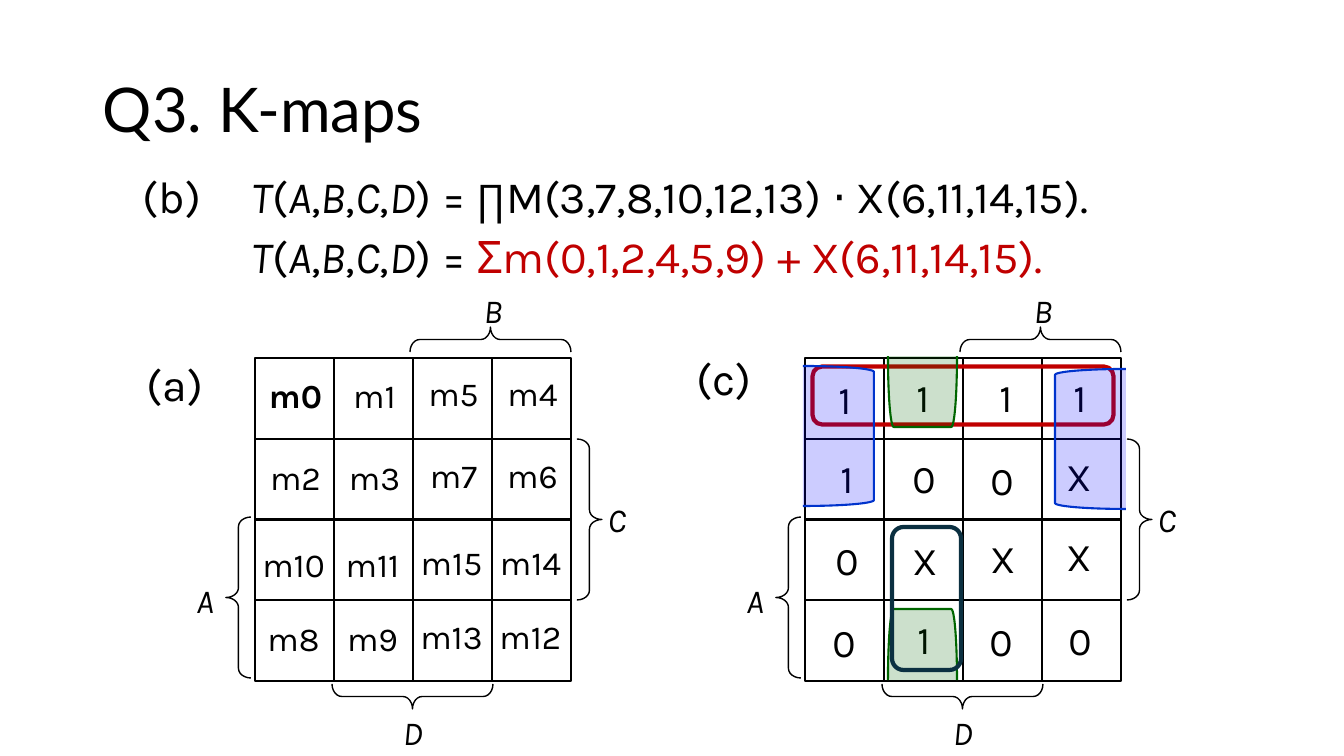
import itertools

import pptx
import pptx.dml.color
import pptx.enum.shapes
import pptx.enum.text
import pptx.oxml.ns
import pptx.util
from lxml import etree

SHAPES = pptx.enum.shapes.MSO_SHAPE
ANCHORS = pptx.enum.text.MSO_ANCHOR
ALIGNMENTS = pptx.enum.text.PP_ALIGN

COLORS = {"black": "000000", "red": "C00000", "blue": "0000FF",
          "blue_line": "0033CC", "green": "006600", "navy": "0B3041"}

# Lengths are px
PX = 914400 / 100.8
SLIDE_SIZE = (1344, 756)
TITLE = "Q3. K-maps"
TITLE_BOX = (93, 40, 1159, 146)

FUNCTION = "T(A,B,C,D) = "
EQUATIONS = [
    ((242, 230, 864, 73), "Σm(0,1,2,4,5,9) + X(6,11,14,15).", "red"),
    ((242, 170, 929, 73), "∏M(3,7,8,10,12,13) ⋅ X(6,11,14,15).", "black"),
]
PART_LABELS = [("(b)", 133, 170), ("(a)", 137, 358), ("(c)", 687, 352)]

MAP_LEFTS = {"minterms": 255, "values": 805}
MAP_TOP = 358
COLUMNS = ROWS = 4
CELL_WIDTH, CELL_HEIGHT = 79, 323 / ROWS

# Offsets from the top left corner of a map: label, its place, brace place, rotation, flip
VARIABLES = [
    ("A", (-76, 217), (-29, 159), 0, "flipH"),
    ("B", (212, -73), (223, -99), 270, None),
    ("C", (336, 136), (322, 81), 0, None),
    ("D", (132, 349), (145, 258), 90, "flipV"),
]
BRACE_SIZE = (25, 161)
BRACE_CURVE = 0.389

# Offset of the first label in each row, then the row of labels
MINTERMS = [
    ((-11, 12), ["m0", "m1", "m5", "m4"]),
    ((-11, 94), ["m2", "m3", "m7", "m6"]),
    ((-13, 181), ["m10", "m11", "m15", "m14"]),
    ((-13, 255), ["m8", "m9", "m13", "m12"]),
]
RIGHT_HALF_RAISE = 2

# Hand-placed entries: text, left, top
VALUES = [
    ("1", 805, 370), ("1", 883, 368), ("1", 966, 368), ("1", 1040, 368),
    ("1", 807, 449), ("0", 884, 449), ("0", 962, 451), ("X", 1039, 447),
    ("0", 807, 531), ("X", 885, 531), ("X", 963, 529), ("X", 1039, 527),
    ("0", 804, 613), ("1", 884, 610), ("0", 961, 612), ("0", 1040, 611),
]

RED_LOOP = {"line": "red", "width": 3}
NAVY_LOOP = {"line": "navy", "width": 3}
BLUE_LOOP = {"line": "blue_line", "width": 1.5, "fill": "blue"}
GREEN_LOOP = {"line": "green", "width": 1.5, "fill": "green"}
LOOPS = [
    (SHAPES.ROUNDED_RECTANGLE, (934, 245, 58, 301), 270, None, RED_LOOP),
    (SHAPES.LEFT_BRACKET, (1055, 369, 71, 140), 0, None, BLUE_LOOP),
    (SHAPES.LEFT_BRACKET, (803, 366, 71, 140), 0, "flipH", BLUE_LOOP),
    (SHAPES.LEFT_BRACKET, (887, 357, 71, 69), 270, None, GREEN_LOOP),
    (SHAPES.LEFT_BRACKET, (887, 610, 71, 69), 90, "flipV", GREEN_LOOP),
    (SHAPES.ROUNDED_RECTANGLE, (855, 564, 143, 69), 270, "flipV", NAVY_LOOP),
]
FILL_OPACITY = 20

EQUATION_FORMAT = {"name": "Karla", "size": pptx.util.Pt(32)}
LABEL_FORMAT = {"name": "Karla", "size": pptx.util.Pt(24)}
VALUE_FORMAT = {"name": "Karla", "size": pptx.util.Pt(28)}
TITLE_FORMAT = {"name": "Lato", "size": pptx.util.Pt(44)}
CENTERED = {"alignment": ALIGNMENTS.CENTER}
TIGHT = {"line_spacing": 0.9}


def emu(lengths):
    return [pptx.util.Emu(round(length * PX)) for length in lengths]


def color(name):
    return pptx.dml.color.RGBColor.from_string(COLORS[name])


def set_attributes(target, values):
    for name, value in values.items():
        setattr(target, name, value)


def add_text(slide, box, runs, font_format, paragraph_format, anchor=ANCHORS.TOP):
    """Add one line of text; each run is (text, color name, extra font values)."""
    frame = slide.shapes.add_textbox(*emu(box)).text_frame
    set_attributes(frame, {"word_wrap": True, "vertical_anchor": anchor})
    paragraph = frame.paragraphs[0]
    set_attributes(paragraph, paragraph_format)
    for text, color_name, extra in runs:
        run = paragraph.add_run()
        run.text = text
        set_attributes(run.font, {**font_format, **extra})
        run.font.color.rgb = color(color_name)


def add_outline(slide, kind, box, rotation=0, flip=None, line="black", width=1.5, fill=None):
    shape = slide.shapes.add_shape(kind, *emu(box))
    shape.shadow.inherit = False
    shape.rotation = rotation
    if flip:
        shape._element.spPr.xfrm.set(flip, "1")
    shape.line.color.rgb = color(line)
    shape.line.width = pptx.util.Pt(width)
    if fill:
        shape.fill.solid()
        shape.fill.fore_color.rgb = color(fill)
        tone = shape._element.spPr.find(".//" + pptx.oxml.ns.qn("a:srgbClr"))
        alpha = etree.SubElement(tone, pptx.oxml.ns.qn("a:alpha"))
        alpha.set("val", str(FILL_OPACITY * 1000))
    else:
        shape.fill.background()
    return shape


def add_map_frame(slide, left):
    """Draw the cells, braces and variable names of one K-map."""
    for row, column in itertools.product(range(ROWS), range(COLUMNS)):
        add_outline(slide, SHAPES.RECTANGLE,
                    (left + column * CELL_WIDTH, MAP_TOP + row * CELL_HEIGHT,
                     CELL_WIDTH, CELL_HEIGHT))
    for name, (label_x, label_y), (brace_x, brace_y), rotation, flip in VARIABLES:
        add_text(slide, (left + label_x, MAP_TOP + label_y, 52, 50),
                 [(name, "black", {"italic": True})], LABEL_FORMAT, CENTERED)
        brace = add_outline(slide, SHAPES.RIGHT_BRACE,
                            (left + brace_x, MAP_TOP + brace_y, *BRACE_SIZE),
                            rotation, flip, width=1)
        brace.adjustments[0] = BRACE_CURVE


def main():
    presentation = pptx.Presentation()
    presentation.slide_width, presentation.slide_height = emu(SLIDE_SIZE)
    slide = presentation.slides.add_slide(presentation.slide_layouts[6])

    add_text(slide, TITLE_BOX, [(TITLE, "black", {})], TITLE_FORMAT, TIGHT, ANCHORS.MIDDLE)
    function_runs = [("".join(letters), "black", {"italic": is_name})
                     for is_name, letters in itertools.groupby(FUNCTION, str.isalpha)]
    for box, terms, color_name in EQUATIONS:
        add_text(slide, box, function_runs + [(terms, color_name, {})], EQUATION_FORMAT, TIGHT)
    for label, left, top in PART_LABELS:
        add_text(slide, (left, top, 87, 73), [(label, "black", {})], EQUATION_FORMAT, TIGHT)

    for left in MAP_LEFTS.values():
        add_map_frame(slide, left)
    for (offset_x, offset_y), names in MINTERMS:
        for column, name in enumerate(names):
            left = MAP_LEFTS["minterms"] + offset_x + column * CELL_WIDTH
            top = MAP_TOP + offset_y - RIGHT_HALF_RAISE * (column >= COLUMNS // 2)
            add_text(slide, (left, top, 103, 50),
                     [(name, "black", {"bold": name == "m0"})], LABEL_FORMAT, CENTERED)
    for value, left, top in VALUES:
        add_text(slide, (left, top, 80, 57), [(value, "black", {})], VALUE_FORMAT, CENTERED)
    for kind, box, rotation, flip, style in LOOPS:
        add_outline(slide, kind, box, rotation, flip, **style)

    presentation.save("out.pptx")


if __name__ == "__main__":
    main()
